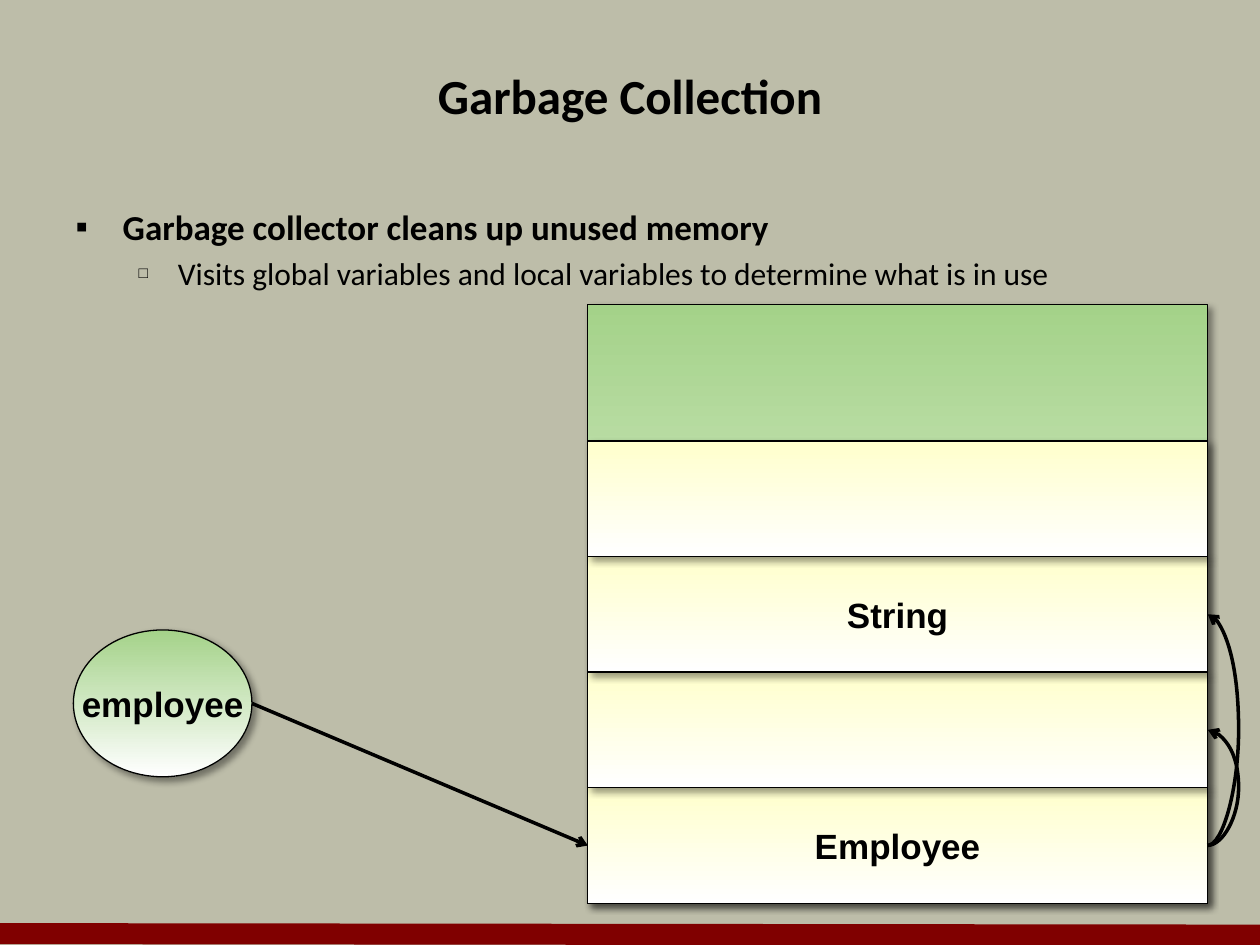
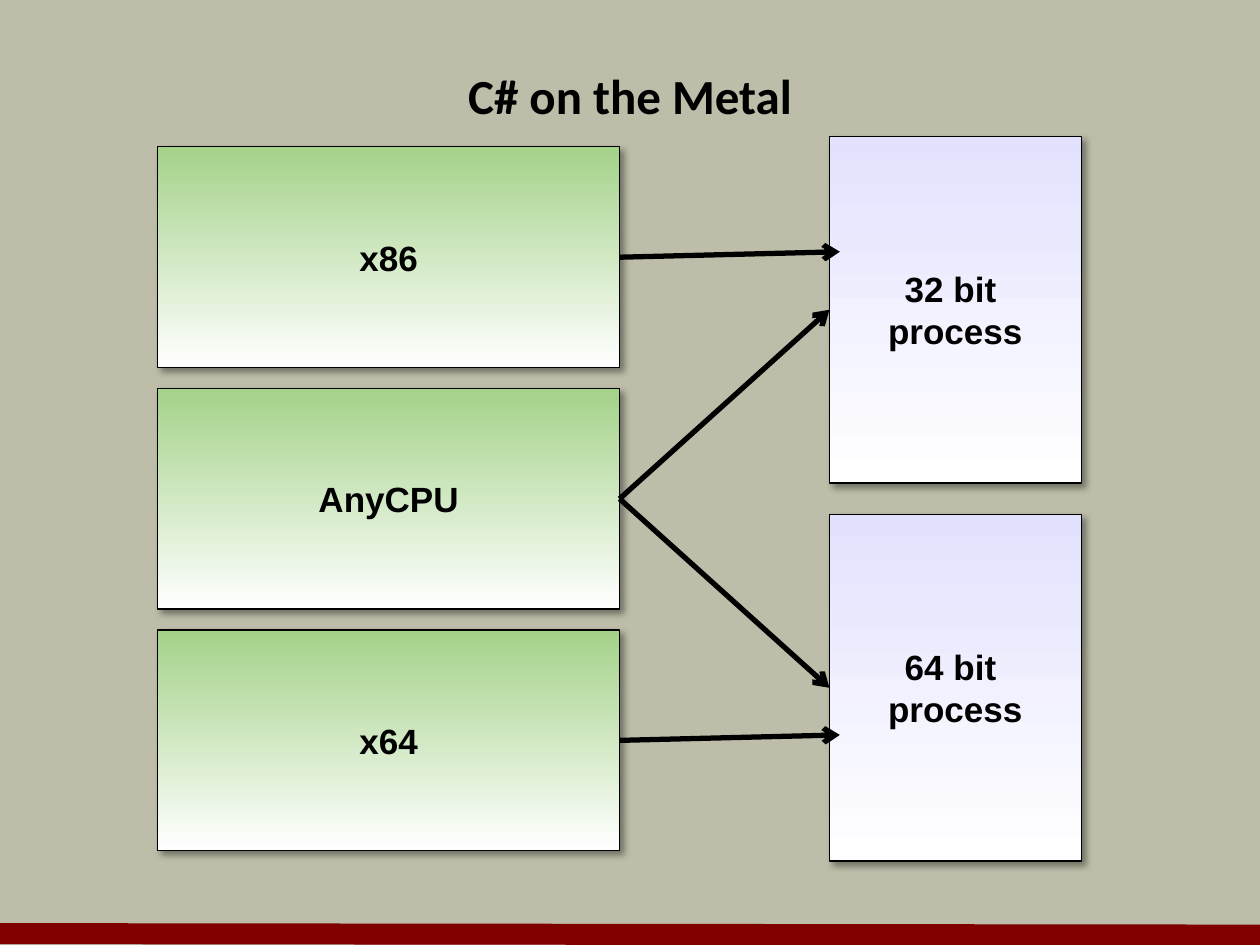
import pptx
import pptx.util
import pptx.oxml
import pptx.dml.color
import pptx.enum.shapes
import pptx.enum.text

Cm, Pt = pptx.util.Cm, pptx.util.Pt
RGB = pptx.dml.color.RGBColor
SHAPE = pptx.enum.shapes.MSO_SHAPE
CONNECTOR = pptx.enum.shapes.MSO_CONNECTOR
ALIGN = pptx.enum.text.PP_ALIGN
ANCHOR = pptx.enum.text.MSO_ANCHOR

SAND = RGB(0xBD, 0xBD, 0xA9)
MAROON = RGB(0x80, 0x00, 0x00)
BLACK = RGB(0x00, 0x00, 0x00)
WHITE = RGB(0xFF, 0xFF, 0xFF)
GREEN = RGB(0xA4, 0xD2, 0x89)
CREAM = RGB(0xFF, 0xFF, 0xCC)
LAVENDER = RGB(0xE2, 0xE2, 0xFF)

TITLE_FONT = {"name": "Calibri", "size": Pt(28), "bold": True}
LABEL_FONT = {"name": "Arial", "size": Pt(20), "bold": True}
BULLETS = [
    {"char": "▪", "size": 100, "margin": 0.95, "hang": 0.95, "before": Pt(0),
     "font": {"name": "Calibri", "size": Pt(20), "bold": True}},
    {"char": "□", "size": 50, "margin": 2.06, "hang": 0.79, "before": Pt(3.6),
     "font": {"name": "Calibri", "size": Pt(18), "bold": False}},
]

NS = 'xmlns:a="http://schemas.openxmlformats.org/drawingml/2006/main"'
SHADOW = (f'<a:effectLst {NS}><a:outerShdw blurRad="50800" dist="38100" dir="2700000" '
          'algn="tl" rotWithShape="0"><a:srgbClr val="000000"><a:alpha val="40000"/>'
          '</a:srgbClr></a:outerShdw></a:effectLst>')


def add_xml(parent, xml):
    parent.append(pptx.oxml.parse_xml(xml))


def format_font(font, values):
    for name, value in values.items():
        setattr(font, name, value)
    font.color.rgb = BLACK


def place(sp, x, y, w, h):
    sp.left, sp.top, sp.width, sp.height = Cm(x), Cm(y), Cm(w), Cm(h)


def add_line(s, start, end, width, color=BLACK, arrow=True, bulge=None):
    kind = CONNECTOR.STRAIGHT if bulge is None else CONNECTOR.CURVE
    sp = s.shapes.add_connector(kind, *map(Cm, (*start, *end)))
    sp.line.color.rgb = color
    sp.line.width = Pt(width)
    if arrow:
        add_xml(sp.line._get_or_add_ln(), f'<a:tailEnd {NS} type="arrow"/>')
    add_xml(sp._element.spPr, f'<a:effectLst {NS}/>')
    if bulge is not None:
        adjust = round(bulge / (end[0] - start[0]) * 100000)
        guides = sp._element.spPr.prstGeom.get_or_add_avLst()
        add_xml(guides, f'<a:gd {NS} name="adj1" fmla="val {adjust}"/>')


def add_node(s, x, y, w, h, color, lines=(), shape=SHAPE.RECTANGLE):
    sp = s.shapes.add_shape(shape, Cm(x), Cm(y), Cm(w), Cm(h))
    sp.fill.gradient()
    sp.fill.gradient_angle = 270
    for stop, rgb, position in zip(sp.fill.gradient_stops, (color, WHITE), (0, 1)):
        stop.color.rgb = rgb
        stop.position = position
    sp.line.color.rgb = BLACK
    sp.line.width = Pt(0.75)
    add_xml(sp._element.spPr, SHADOW)
    tf = sp.text_frame
    tf.word_wrap = False
    tf.vertical_anchor = ANCHOR.MIDDLE
    for i, line in enumerate(lines):
        p = tf.add_paragraph() if i else tf.paragraphs[0]
        p.alignment = ALIGN.CENTER
        r = p.add_run()
        r.text = line
        format_font(r.font, LABEL_FONT)


def add_slide(prs, layout, title):
    s = prs.slides.add_slide(prs.slide_layouts.get_by_name(layout))
    add_line(s, (0, 18.82), (25.4, 18.85), 12, MAROON, arrow=False)
    sp = s.shapes.title
    place(sp, 1.27, 0.85, 22.86, 2.12)
    tf = sp.text_frame
    tf.vertical_anchor = ANCHOR.MIDDLE
    p = tf.paragraphs[0]
    p.alignment = ALIGN.CENTER
    r = p.add_run()
    r.text = title
    format_font(r.font, TITLE_FONT)
    return s


def fill_body(s, items):
    sp = s.placeholders[1]
    place(sp, 1.27, 4.02, 22.86, 12.5)
    tf = sp.text_frame
    for i, (level, text) in enumerate(items):
        p = tf.add_paragraph() if i else tf.paragraphs[0]
        style = BULLETS[level]
        p.level = level
        p.space_before = style["before"]
        pPr = p._p.get_or_add_pPr()
        pPr.set("marL", str(Cm(style["margin"])))
        pPr.set("indent", str(-Cm(style["hang"])))
        add_xml(pPr, f'<a:buSzPct {NS} val="{style["size"] * 1000}"/>')
        add_xml(pPr, f'<a:buFont {NS} typeface="Arial"/>')
        add_xml(pPr, f'<a:buChar {NS} char="{style["char"]}"/>')
        r = p.add_run()
        r.text = text
        format_font(r.font, style["font"])


def garbage_collection(prs):
    s = add_slide(prs, "Title and Content", "Garbage Collection")
    fill_body(s, [
        (0, "Garbage collector cleans up unused memory"),
        (1, "Visits global variables and local variables to determine what is in use"),
    ])
    x, w, first, h = 11.85, 12.49, 8.89, 2.33
    add_node(s, x, 6.14, w, 12.07, GREEN)
    add_node(s, 1.48, 12.7, 3.6, 2.96, GREEN, ["employee"], SHAPE.OVAL)
    cells = [[], ["String"], [], ["Employee"]]
    for row, lines in reversed(list(enumerate(cells))):
        add_node(s, x, first + row * h, w, h, CREAM, lines)
    middles = [first + (row + 0.5) * h for row in range(len(cells))]
    right = x + w
    add_line(s, (5.08, 14.18), (x, middles[3]), 2)
    for row in (1, 2):
        add_line(s, (right, middles[3]), (right + 0.01, middles[row]), 2, bulge=0.63)


def metal(prs):
    s = add_slide(prs, "Title Only", "C# on the Metal")
    x, y, w, h, pitch = 3.18, 2.96, 9.31, 4.45, 4.87
    for i, target in enumerate(["x86", "AnyCPU", "x64"]):
        add_node(s, x, y + i * pitch, w, h, GREEN, [target])
    process_x, process_y, process_h, process_pitch = 16.72, 2.75, 6.99, 7.62
    for i, bits in enumerate(["32 bit ", "64 bit "]):
        top = process_y + i * process_pitch
        add_node(s, process_x, top, 5.08, process_h, LAVENDER, [bits, "process"])
    right = x + w
    x86, any_cpu, x64 = [y + i * pitch + h / 2 for i in range(3)]
    for middle in (x86, x64):
        add_line(s, (right, middle), (process_x + 0.21, middle - 0.11), 3)
    for i in range(2):
        middle = process_y + i * process_pitch + process_h / 2
        add_line(s, (right, any_cpu), (process_x, middle), 3)


def main():
    prs = pptx.Presentation()
    prs.slide_width, prs.slide_height = Cm(25.4), Cm(19.05)
    fill = prs.slide_master.background.fill
    fill.solid()
    fill.fore_color.rgb = SAND
    garbage_collection(prs)
    metal(prs)
    prs.save("out.pptx")


if __name__ == "__main__":
    main()
